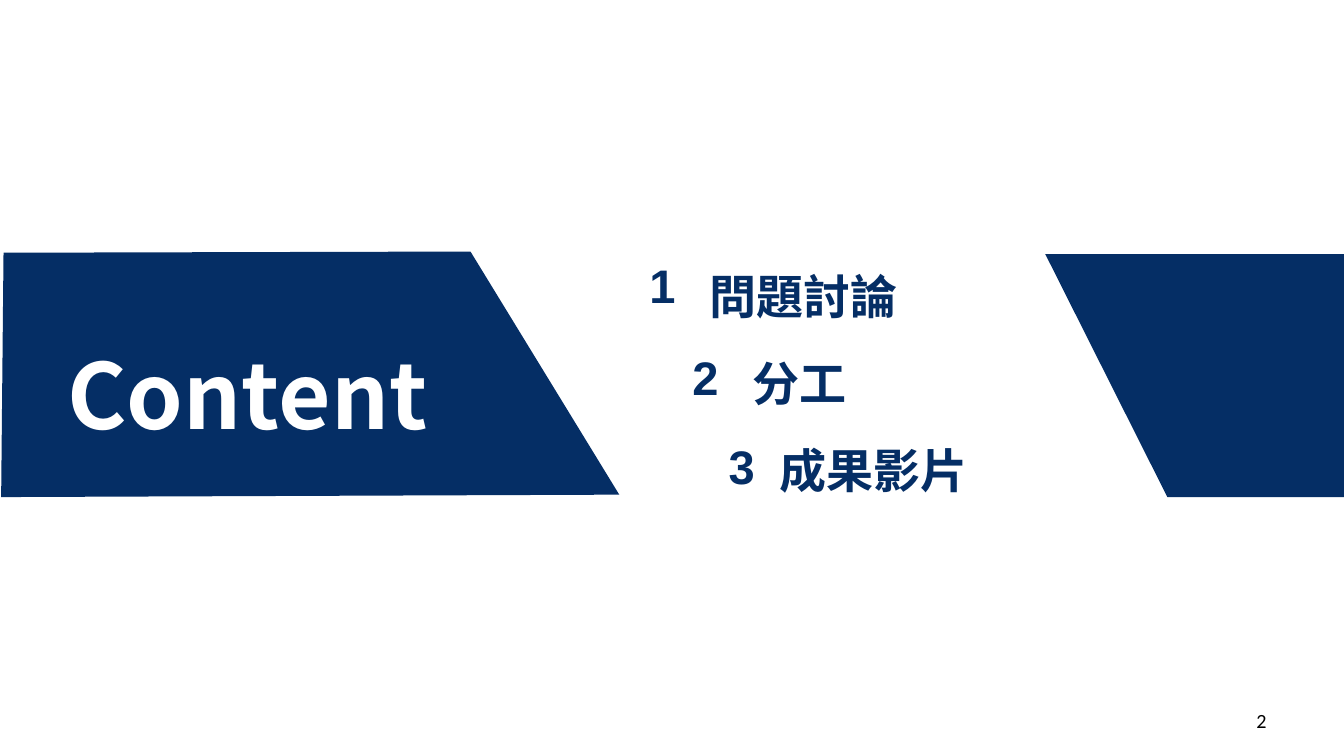
from pptx import Presentation
from pptx.dml.color import RGBColor
from pptx.enum.text import MSO_ANCHOR, PP_ALIGN
from pptx.util import Inches, Pt

NAVY = RGBColor(0x05, 0x2E, 0x65)
WHITE = RGBColor(0xFF, 0xFF, 0xFF)
BLACK = RGBColor(0x00, 0x00, 0x00)
LEFT, RIGHT = PP_ALIGN.LEFT, PP_ALIGN.RIGHT
TOP, MIDDLE = MSO_ANCHOR.TOP, MSO_ANCHOR.MIDDLE

WIDTH, HEIGHT = Inches(11.11), Inches(6.25)
INSET = Inches(0.08)
HEADING_FONT, NUMBER_FONT, PAGE_FONT = "Noto Sans CJK SC", "Arial", "Calibri"

LEFT_BAND = [(0.27, 33.44), (35.01, 33.28), (46.08, 65.44), (0.09, 65.76)]
RIGHT_BAND = [(77.77, 33.6), (100, 33.6), (100, 65.76), (86.86, 65.76)]

FIRST_TOPIC_TOP, TOPIC_STEP = 32.64, 11.52
TOPICS = [
    ("問題討論", 47.6, 32.64, 52.1, 29.3),
    ("分工", 50.8, 44.8, 55.3, 44.7),
    ("成果影片", 53.5, 56.64, 57.3, 42.5),
]


def across(percent):
    """Return a share of the slide width."""
    return round(WIDTH * percent / 100)


def down(percent):
    """Return a share of the slide height."""
    return round(HEIGHT * percent / 100)


def add_band(slide, corners):
    """Draw a navy band through corners given in percent of the slide."""
    points = [(across(x), down(y)) for x, y in corners]
    builder = slide.shapes.build_freeform(*points[0])
    builder.add_line_segments(points[1:], close=True)
    band = builder.convert_to_shape()
    band.shadow.inherit = False
    band.fill.solid()
    band.fill.fore_color.rgb = NAVY
    band.line.fill.background()


def add_text(slide, text, left, top, width, height, *, size=28, font=HEADING_FONT,
             color=NAVY, bold=True, align=LEFT, anchor=TOP, spacing=1.0):
    """Add a text box placed in percent of the slide."""
    box = slide.shapes.add_textbox(across(left), down(top), across(width), down(height))
    frame = box.text_frame
    frame.word_wrap = True
    frame.vertical_anchor = anchor
    frame.margin_left = frame.margin_right = frame.margin_top = INSET
    frame.margin_bottom = INSET
    paragraph = frame.paragraphs[0]
    paragraph.alignment = align
    paragraph.line_spacing = spacing
    run = paragraph.add_run()
    run.text = text
    run.font.size = Pt(size)
    run.font.name = font
    run.font.bold = bold
    run.font.color.rgb = color
    properties = run.font._element
    east_asian = properties.makeelement(properties.find("{*}latin").tag.replace("latin", "ea"),
                                        {"typeface": font})
    properties.append(east_asian)


def add_topics(slide):
    """Add the numbered topics that step along the slanted band."""
    for index, (title, number_left, number_top, title_left, title_width) in enumerate(TOPICS):
        add_text(slide, str(index + 1), number_left, number_top, 3.6, 8, font=NUMBER_FONT)
        title_top = FIRST_TOPIC_TOP + index * TOPIC_STEP
        add_text(slide, title, title_left, title_top, title_width, 9.92, spacing=1.2)


def main():
    """Build the contents slide and save it."""
    presentation = Presentation()
    presentation.slide_width, presentation.slide_height = WIDTH, HEIGHT
    slide = presentation.slides.add_slide(presentation.slide_layouts[6])
    add_band(slide, RIGHT_BAND)
    add_band(slide, LEFT_BAND)
    add_topics(slide)
    add_text(slide, "Content", 4.3, 40.64, 46.6, 17.6, size=54, color=WHITE, spacing=1.2)
    add_text(slide, "2", 71.65, 92.64, 23.3, 5.28, size=12, font=PAGE_FONT, color=BLACK,
             bold=False, align=RIGHT, anchor=MIDDLE)
    presentation.save("out.pptx")


if __name__ == "__main__":
    main()
